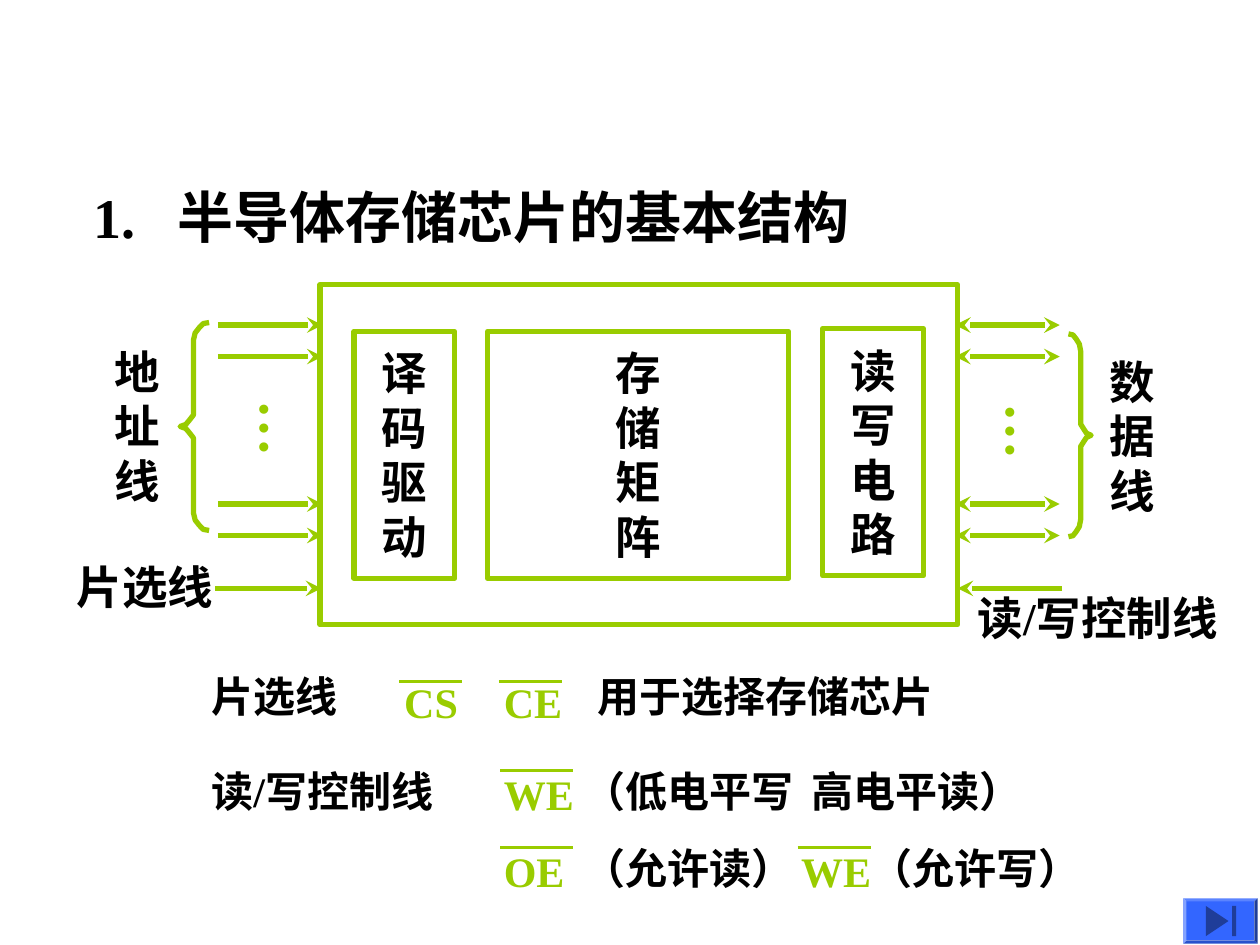
from lxml import etree
from pptx import Presentation
from pptx import util as u
from pptx.dml.color import RGBColor
from pptx.enum import shapes, text
from pptx.oxml.ns import qn

CELL = u.Inches(0.1)
COLORS = {"ink": "000000", "lime": "99CC00", "button": "3366FF", "icon": "1F3D99"}
HALF_BRACE = [(1, 0), (0.8, 0.01), (0.66, 0.05), (0.52, 0.1), (0.46, 0.17),
              (0.46, 0.83), (0.46, 0.89), (0.32, 0.94), (0.2, 0.98), (0, 1)]


def grid(*cells):
    """Turn columns and rows into lengths."""
    return [round(cell * CELL) for cell in cells]


def color(name):
    """Look up a colour by its role."""
    return RGBColor.from_string(COLORS[name])


def add_label(slide, box, lines, size, ink="ink", wrap=False, tab=None,
              bottom=False, vertical=False):
    """Add bold text, one paragraph for each line."""
    label = slide.shapes.add_textbox(*grid(*box))
    frame = label.text_frame
    frame.word_wrap = wrap
    if bottom:
        frame.vertical_anchor = text.MSO_ANCHOR.BOTTOM
    if vertical:
        frame._txBody.bodyPr.set("vert", "eaVert")
        frame.margin_left = frame.margin_right = u.Inches(0.05)
        frame.margin_top = frame.margin_bottom = u.Inches(0.1)
    for index, line in enumerate(lines):
        paragraph = frame.add_paragraph() if index else frame.paragraphs[0]
        paragraph.text = line
        if tab:
            stops = etree.SubElement(paragraph._p.get_or_add_pPr(), qn("a:tabLst"))
            etree.SubElement(stops, qn("a:tab"), pos=str(grid(tab)[0]), algn="l")
        font = paragraph.font
        font.name, font.size, font.bold = "Times New Roman", u.Pt(size), True
        font.color.rgb = color(ink)


def add_block(slide, box):
    """Add an outlined rectangle."""
    block = slide.shapes.add_shape(shapes.MSO_SHAPE.RECTANGLE, *grid(*box))
    block.shadow.inherit = False
    block.fill.background()
    block.line.color.rgb = color("lime")
    block.line.width = u.Pt(3)


def add_line(slide, start, end, row, width=3, arrows=()):
    """Add a level line with the arrowheads named in arrows."""
    wire = slide.shapes.add_connector(shapes.MSO_CONNECTOR.STRAIGHT,
                                      *grid(start, row, end, row))
    wire.line.color.rgb = color("lime")
    wire.line.width = u.Pt(width)
    for arrow in arrows:
        etree.SubElement(wire.line._get_or_add_ln(), qn(f"a:{arrow}"), type="stealth")
    etree.SubElement(wire._element.spPr, qn("a:effectLst"))


def add_brace(slide, tip, reach, top, bottom):
    """Add a brace from its tip column, mirrored about the middle row."""
    half = (bottom - top) / 2
    upper = [(tip + reach * x, top + half * y) for x, y in HALF_BRACE]
    lower = [(x, top + bottom - y) for x, y in reversed(upper[:-1])]
    points = [grid(*point) for point in upper + lower]
    builder = slide.shapes.build_freeform(*points[0])
    builder.add_line_segments(points[1:], close=False)
    brace = builder.convert_to_shape()
    brace.shadow.inherit = False
    brace.fill.background()
    brace.line.color.rgb = color("lime")
    brace.line.width = u.Pt(3)


def add_signal(slide, name, column, row, bar_start, bar_end, bar_row):
    """Add an active-low signal name with its overbar."""
    add_label(slide, (column, row, 8.5, 5), [name], 24, "lime", wrap=True, bottom=True)
    add_line(slide, bar_start, bar_end, bar_row, 1.5)


def add_end_button(slide):
    """Add the bevelled button with a triangle and a bar."""
    button = slide.shapes.add_shape(shapes.MSO_SHAPE.BEVEL, *grid(93.9, 71.3, 5.9, 3.6))
    button.adjustments[0] = 0.07
    builder = slide.shapes.build_freeform(*grid(97.5, 73.1))
    builder.add_line_segments([grid(95.7, 74.3), grid(95.7, 71.9)])
    builder.move_to(*grid(97.8, 71.9))
    builder.add_line_segments([grid(97.8, 74.3), grid(98.1, 74.3), grid(98.1, 71.9)])
    for part, fill in ((button, "button"), (builder.convert_to_shape(), "icon")):
        part.shadow.inherit = False
        part.fill.solid()
        part.fill.fore_color.rgb = color(fill)
        part.line.fill.background()


def add_chip(slide):
    """Draw the chip, its three inner blocks and their names."""
    add_block(slide, (25.4, 22.6, 50.6, 27))
    for column, row, width, name in ((28.1, 26.3, 8, "译码驱动"),
                                     (38.7, 26.3, 23.9, "存储矩阵"),
                                     (65.3, 26.1, 8, "读写电路")):
        add_block(slide, (column, row, width, 19.6))
        middle = column + width / 2
        add_label(slide, (middle - 2.8, row + 0.6, 5.6, 18.4), name, 26)


def add_buses(slide):
    """Draw the address, data and control lines."""
    for row in (25.8, 28.3, 40, 42.5):
        add_line(slide, 17.3, 25.6, row, arrows=["tailEnd"])
        add_line(slide, 84.1, 75.8, row, arrows=["headEnd", "tailEnd"])
    add_line(slide, 17.1, 25.5, 46.7, arrows=["tailEnd"])
    add_line(slide, 84.3, 76, 46.7, arrows=["tailEnd"])
    add_brace(slide, 14.3, 2.3, 25.6, 42.1)
    add_brace(slide, 86.6, -1.8, 26.5, 42.6)
    for column, row in ((18.3, 30.8), (77.5, 31)):
        add_label(slide, (column, row, 7.3, 5.5), ["…"], 32, "lime", vertical=True)
    add_label(slide, (8.1, 26.8, 5.6, 14), "地址线", 26)
    add_label(slide, (87.1, 27.6, 5.6, 14), "数据线", 26)
    add_label(slide, (5.1, 43.9, 14, 5.4), ["片选线"], 26, wrap=True)
    add_label(slide, (76.6, 46.3, 23.4, 5.4), ["读/写控制线"], 26, wrap=True)


def add_legend(slide):
    """Explain the control signals below the chip."""
    for column, row, width, words in ((15.8, 52.7, 14, "片选线"),
                                      (46.4, 52.7, 40.2, "用于选择存储芯片"),
                                      (15.8, 60.3, 27.6, "读/写控制线"),
                                      (45.3, 60.3, 46.1, "（低电平写\t高电平读）"),
                                      (45.3, 66.4, 24.4, "（允许读）"),
                                      (68.1, 66.4, 24.4, "（允许写）")):
        add_label(slide, (column, row, width, 5), [words], 24, wrap=True,
                  tab=18.1 if "\t" in words else None)
    add_signal(slide, "CS", 31.1, 53.2, 31.7, 36.7, 54.1)
    add_signal(slide, "CE", 39, 53.2, 39.6, 44.6, 54.1)
    for name, column, row in (("WE", 39, 60.5), ("OE", 39, 66.6), ("WE", 62.6, 66.6)):
        add_signal(slide, name, column, row, column + 0.7, column + 6.5, row + 0.65)


def main():
    """Build the slide and save it."""
    deck = Presentation()
    deck.slide_width, deck.slide_height = grid(100, 75)
    slide = deck.slides.add_slide(deck.slide_layouts[6])
    add_label(slide, (6.4, 14, 63, 6.4), ["1.\t半导体存储芯片的基本结构"], 32,
              wrap=True, tab=6.7)
    add_chip(slide)
    add_buses(slide)
    add_legend(slide)
    add_end_button(slide)
    deck.save("out.pptx")


if __name__ == "__main__":
    main()
